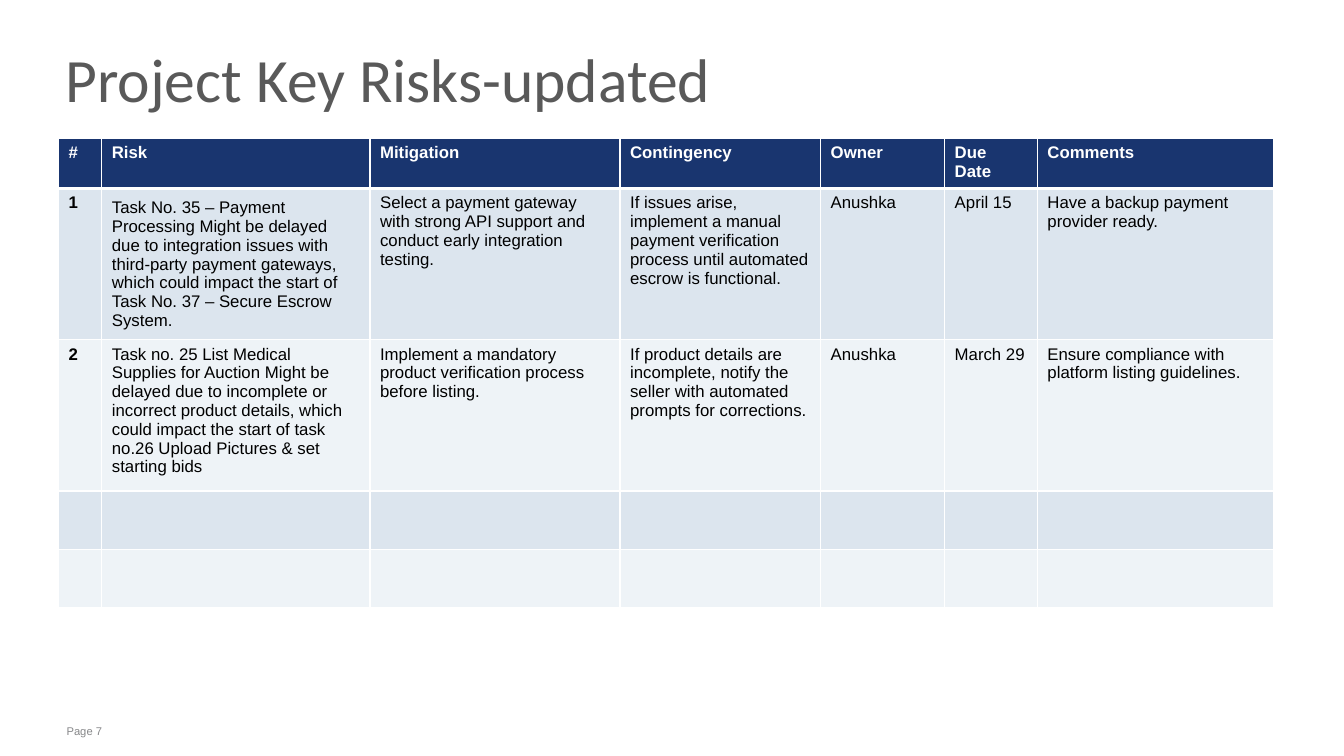
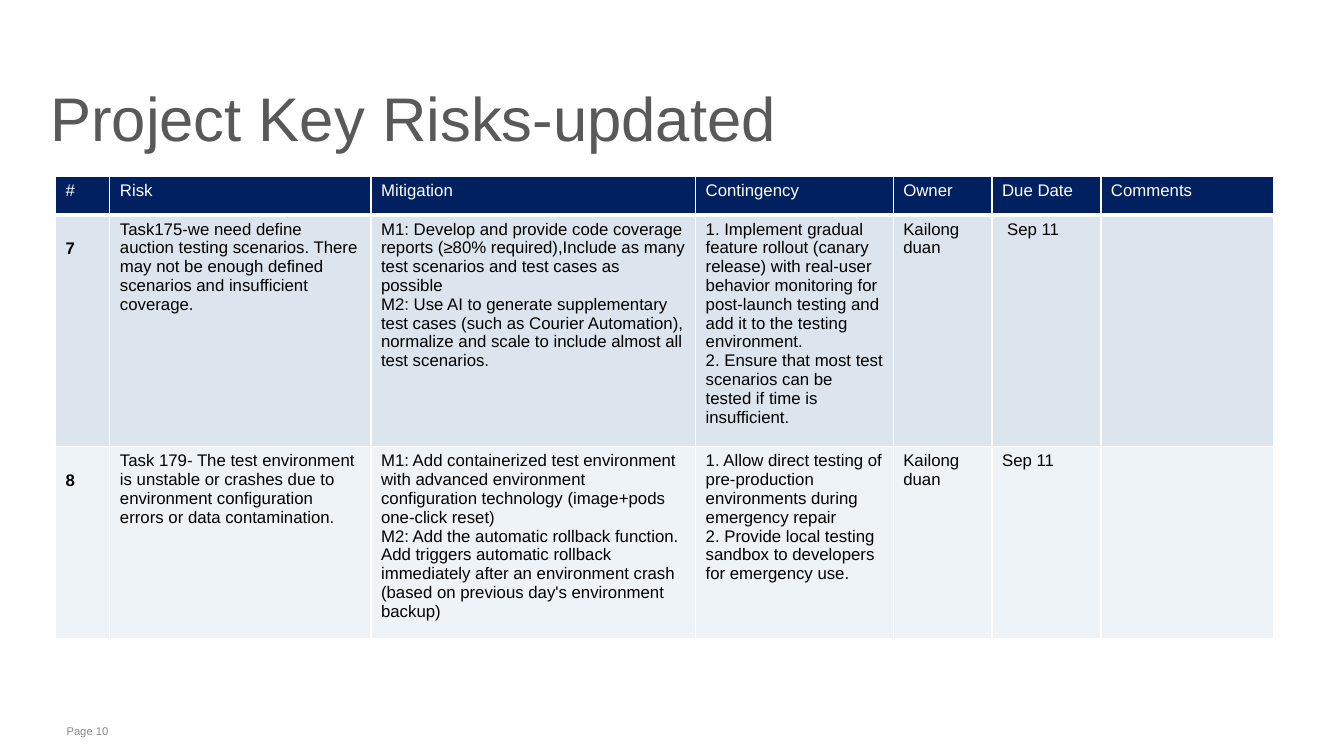
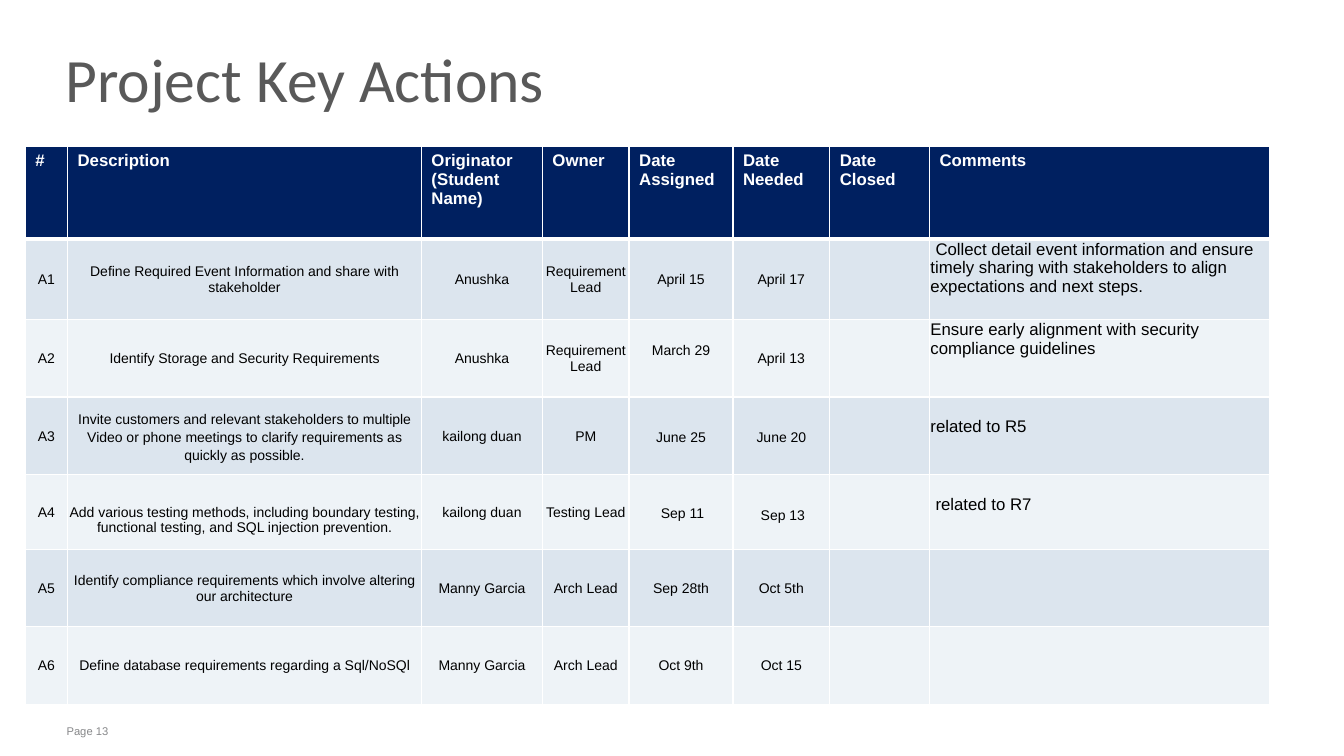
"""Build three project slides: two risk registers and one action list."""
from lxml.etree import SubElement
from pptx import Presentation
from pptx.dml.color import RGBColor
from pptx.enum.text import MSO_ANCHOR, PP_ALIGN
from pptx.oxml.ns import qn
from pptx.util import Pt

PX = 9144
COLOURS = {
    "header": "002060",
    "header_text": "FFFFFF",
    "odd_row": "DCE5EE",
    "even_row": "EEF3F7",
    "rule": "FFFFFF",
    "title": "595959",
    "footer": "87888A",
    "body": "000000",
}
RISK_HEADINGS = ["#", "Risk", "Mitigation", "Contingency", "Owner", "Due Date", "Comments"]
RISK_FORMATS = [{"bold": True}] + [{}] * 6
LEADING_SPACE = 5
BLANK_LINE = 19


def colour(name):
    """Return the named palette colour."""
    return RGBColor.from_string(COLOURS[name])


def write(holder, text, size=12, font="Arial", ink="body", bold=False,
          align=PP_ALIGN.LEFT, anchor=MSO_ANCHOR.TOP, margins=(10, 5, 10, 5),
          spacing=None, indent=0):
    """Write formatted text, one paragraph a line, into a cell or text frame."""
    holder.vertical_anchor = anchor
    (holder.margin_left, holder.margin_top,
     holder.margin_right, holder.margin_bottom) = [side * PX for side in margins]
    frame = getattr(holder, "text_frame", holder)
    frame.word_wrap = True
    for number, line in enumerate(text.split("\n")):
        paragraph = frame.add_paragraph() if number else frame.paragraphs[0]
        if indent:
            paragraph._p.get_or_add_pPr().set("indent", str(indent * PX))
        paragraph.alignment = align
        if spacing:
            paragraph.line_spacing = spacing
        run = paragraph.add_run()
        run.text = line
        run.font.size = Pt(size)
        run.font.name = font
        run.font.bold = bold
        run.font.color.rgb = colour(ink)


def add_label(slide, box, text, **text_format):
    """Place a text box at left, top, width, height."""
    label = slide.shapes.add_textbox(*[length * PX for length in box])
    write(label.text_frame, text, **text_format)


def add_title(slide, text):
    """Place the standard slide title."""
    add_label(slide, (57, 26, 1093, 119), text, size=44, font="Calibri", ink="title",
              anchor=MSO_ANCHOR.MIDDLE, margins=(8, 0, 8, 0), spacing=0.75)


def add_footer(slide, page):
    """Place the page number at the foot of the slide."""
    add_label(slide, (58, 714, 1079, 24), f"Page {page}", size=8, ink="footer",
              margins=(8, 5, 8, 5))


def add_rules(cell, top, bottom):
    """Draw white cell borders; top and bottom widths are in points."""
    properties = cell._tc.get_or_add_tcPr()
    widths = {"a:lnL": 1, "a:lnR": 1, "a:lnT": top, "a:lnB": bottom}
    for position, (side, width) in enumerate(widths.items()):
        line = SubElement(properties, qn(side), w=str(Pt(width)))
        fill = SubElement(line, qn("a:solidFill"))
        SubElement(fill, qn("a:srgbClr"), val=COLOURS["rule"])
        properties.insert(position, line)


def add_register(slide, corner, widths, heights, headings, rows, formats,
                 exceptions=None, header_bold=True, header_opacity=100):
    """Place a banded table with a format per column and exceptions per cell."""
    exceptions = exceptions or {}
    box = (*corner, sum(widths), sum(heights))
    table = slide.shapes.add_table(
        len(heights), len(widths), *[length * PX for length in box]).table
    for column, width in zip(table.columns, widths):
        column.width = width * PX
    for row, height in zip(table.rows, heights):
        row.height = height * PX
    for r, texts in enumerate([headings] + rows):
        band = "header" if r == 0 else "odd_row" if r % 2 else "even_row"
        for c, text in enumerate(texts):
            cell = table.cell(r, c)
            cell.fill.solid()
            cell.fill.fore_color.rgb = colour(band)
            if r == 0 and header_opacity < 100:
                tint = next(cell._tc.tcPr.iter(qn("a:srgbClr")))
                SubElement(tint, qn("a:alpha"), val=str(header_opacity * 1000))
            add_rules(cell, top=3 if r == 1 else 1, bottom=3 if r == 0 else 1)
            if r == 0:
                write(cell, text, ink="header_text", bold=header_bold)
            elif text:
                write(cell, text, **{**formats[c], **exceptions.get((r, c), {})})


def build_early_risks(slide):
    """Fill the slide with risks 1 and 2."""
    add_footer(slide, 7)
    add_title(slide, "Project Key Risks-updated")
    rows = [
        ["1",
         "Task No. 35 – Payment Processing Might be delayed due to integration issues with "
         "third-party payment gateways, which could impact the start of Task No. 37 – "
         "Secure Escrow System.",
         "Select a payment gateway with strong API support and conduct early integration testing.",
         "If issues arise, implement a manual payment verification process until automated "
         "escrow is functional.",
         "Anushka", "April 15", "Have a backup payment provider ready."],
        ["2",
         "Task no. 25 List Medical Supplies for Auction Might be delayed due to incomplete or "
         "incorrect product details, which could impact the start of task no.26 Upload "
         "Pictures & set starting bids",
         "Implement a mandatory product verification process before listing.",
         "If product details are incomplete, notify the seller with automated prompts for "
         "corrections.",
         "Anushka", "March 29", "Ensure compliance with platform listing guidelines."],
        [""] * 7,
        [""] * 7,
    ]
    add_register(slide, (58, 137), [43, 266, 248, 199, 123, 92, 234],
                 [47, 141, 141, 58, 58], RISK_HEADINGS, rows, RISK_FORMATS,
                 {(1, 1): {"anchor": MSO_ANCHOR.MIDDLE}}, header_opacity=90)


def build_testing_risks(slide):
    """Fill the slide with risks 7 and 8."""
    add_footer(slide, 10)
    add_label(slide, (40, 74, 1168, 84), "Project Key Risks-updated", size=44, ink="title")
    rows = [
        ["7",
         "Task175-we need define auction testing scenarios. There may not be enough defined "
         "scenarios and insufficient coverage.",
         "M1: Develop and provide code coverage reports (≥80% required),Include as many test "
         "scenarios and test cases as possible\n"
         "M2: Use AI to generate supplementary test cases (such as Courier Automation), "
         "normalize and scale to include almost all test scenarios.",
         "1. Implement gradual feature rollout (canary release) with real-user behavior "
         "monitoring for post-launch testing and add it to the testing environment.\n"
         "2. Ensure that most test scenarios can be tested if time is insufficient.",
         "Kailong duan", "Sep 11", ""],
        ["8",
         "Task 179- The test environment is unstable or crashes due to environment "
         "configuration errors or data contamination.",
         "M1: Add containerized test environment with advanced environment configuration "
         "technology (image+pods one-click reset)\n"
         "M2: Add the automatic rollback function. Add triggers automatic rollback immediately "
         "after an environment crash (based on previous day's environment backup)",
         "1. Allow direct testing of pre-production environments during emergency repair\n"
         "2. Provide local testing sandbox to developers for emergency use.",
         "Kailong duan", "Sep 11", ""],
    ]
    number_format = {"bold": True, "margins": (10, 5 + BLANK_LINE, 10, 5)}
    add_register(slide, (55, 175), [54, 259, 322, 196, 98, 108, 171], [38, 230, 188],
                 RISK_HEADINGS, rows, [number_format] + RISK_FORMATS[1:],
                 {(1, 5): {"margins": (10 + LEADING_SPACE, 5, 10, 5)}}, header_bold=False)


def build_actions(slide):
    """Fill the slide with the action list."""
    add_footer(slide, 13)
    add_title(slide, "Project Key Actions")
    headings = ["#", "Description", "Originator\n(Student Name)", "Owner", "Date Assigned",
                "Date Needed", "Date Closed", "Comments"]
    rows = [
        ["A1", "Define Required Event Information and share with stakeholder",
         "Anushka", "Requirement Lead", "April 15", "April 17", "",
         "Collect detail event information and ensure timely sharing with stakeholders to "
         "align expectations and next steps."],
        ["A2", "Identify Storage and Security Requirements",
         "Anushka", "Requirement\nLead", "March 29", "April 13", "",
         "Ensure early alignment with security compliance guidelines"],
        ["A3", "Invite customers and relevant stakeholders to multiple Video or phone meetings "
         "to clarify requirements as quickly as possible.",
         "kailong duan", "PM", "June 25", "June 20", "", "related to R5"],
        ["A4", "Add various testing methods, including boundary testing, functional testing, "
         "and SQL injection prevention.",
         "kailong duan", "Testing Lead", "Sep 11", "Sep 13", "", "related to R7"],
        ["A5", "Identify compliance requirements which involve altering our architecture",
         "Manny Garcia", "Arch Lead", "Sep 28th", "Oct 5th", "", ""],
        ["A6", "Define database requirements regarding a Sql/NoSQl",
         "Manny Garcia", "Arch Lead", "Oct 9th", "Oct 15", "", ""],
    ]
    centred = {"size": 10, "align": PP_ALIGN.CENTER, "anchor": MSO_ANCHOR.MIDDLE,
               "margins": (1, 1, 1, 0)}
    comment = {"margins": (1, 1, 1, 0)}
    exceptions = {
        (1, 7): {"indent": LEADING_SPACE},
        (2, 4): {"margins": (1, 1, 1, 16)},
        (3, 1): {"spacing": 1.15},
        (3, 4): {"spacing": 1.15},
        (3, 5): {"spacing": 1.15},
        (3, 7): {"margins": (1, 1 + BLANK_LINE, 1, 0)},
        (4, 1): {"margins": (1, 16, 1, 0)},
        (4, 4): {"margins": (4, 1, 1, 0), "spacing": 1.15},
        (4, 5): {"margins": (4, 5, 1, 0), "spacing": 1.15},
        (4, 7): {"margins": (1 + LEADING_SPACE, 1 + BLANK_LINE, 1, 0)},
    }
    add_register(slide, (25, 145), [42, 351, 120, 86, 103, 96, 99, 337],
                 [92, 80, 77, 77, 74, 77, 77], headings, rows,
                 [centred] * 7 + [comment], exceptions)


def main():
    """Build and save the presentation."""
    deck = Presentation()
    deck.slide_width, deck.slide_height = 1333 * PX, 750 * PX
    for build in (build_early_risks, build_testing_risks, build_actions):
        build(deck.slides.add_slide(deck.slide_layouts[6]))
    deck.save("out.pptx")


if __name__ == "__main__":
    main()
